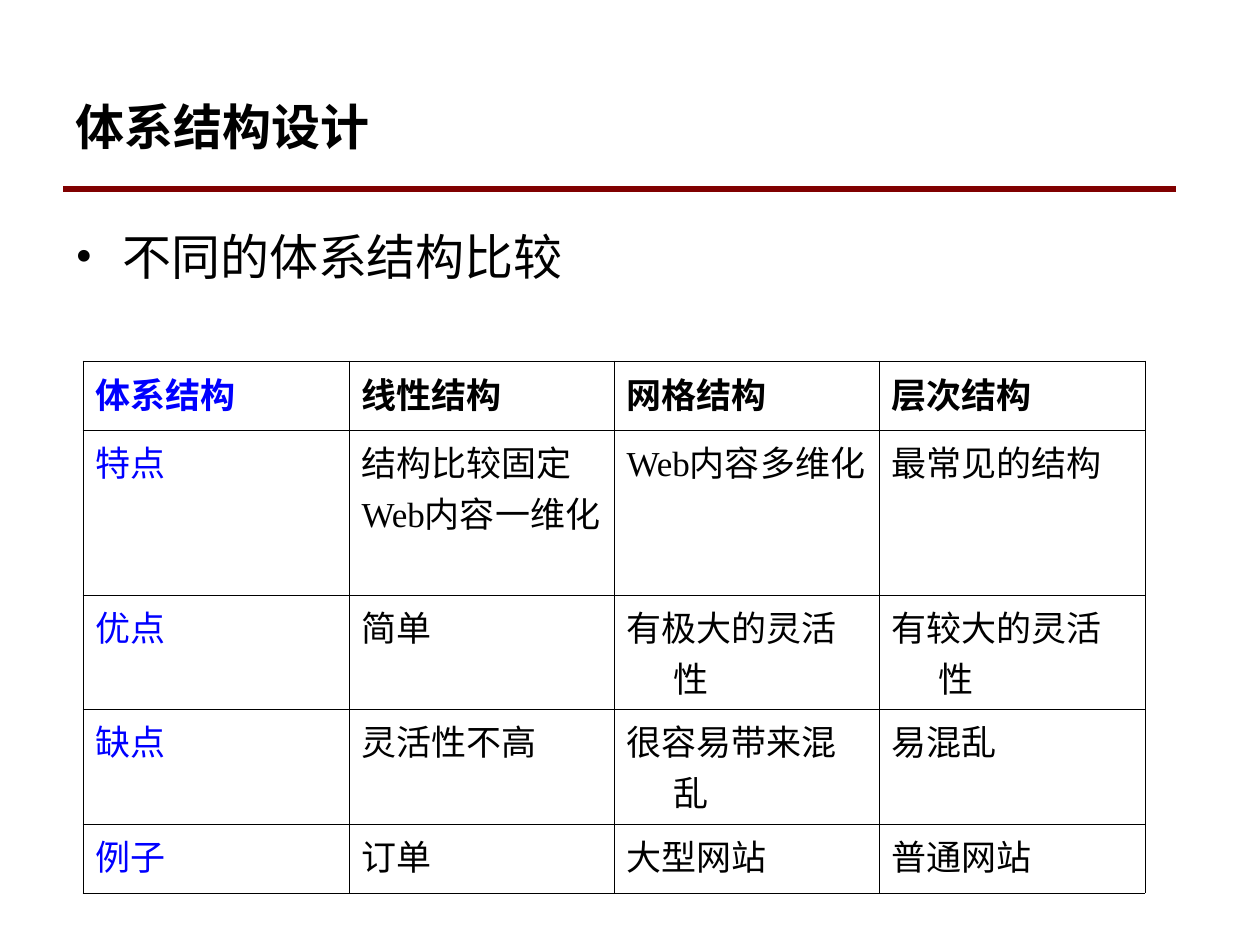
from lxml.etree import SubElement
from pptx import Presentation
from pptx.dml.color import RGBColor
from pptx.enum.shapes import MSO_CONNECTOR as Connector
from pptx.enum.text import MSO_ANCHOR as Anchor
from pptx.oxml.ns import qn
from pptx.util import Emu, Pt

SCALE = 914400 / 126  # EMU per px
INDENT = 47


def px(length):
    return Emu(round(length * SCALE))


def style(paragraph, font_name, size, color, bold=False, hanging=False):
    if hanging:
        properties = paragraph._p.get_or_add_pPr()
        properties.set("marL", str(px(INDENT)))
        properties.set("indent", str(-px(INDENT)))
    for run in paragraph.runs:
        run.font.name = font_name
        run.font.size = Pt(size)
        run.font.bold = bold
        run.font.color.rgb = RGBColor.from_string(color)


presentation = Presentation()
presentation.slide_width = px(1260)
presentation.slide_height = px(945)
slide = presentation.slides.add_slide(presentation.slide_layouts[6])

# Rule under the title
rule = slide.shapes.add_connector(Connector.STRAIGHT, px(63), px(189), px(1176), px(189))
rule.line.color.rgb = RGBColor.from_string("800000")
rule.line.width = Pt(3)
SubElement(rule._element.spPr, qn("a:effectLst"))

# Title
title = slide.shapes.add_textbox(px(63), px(63), px(1113), px(126))
title.text_frame.word_wrap = True
title.text_frame.vertical_anchor = Anchor.MIDDLE
title.text_frame.text = "体系结构设计"
style(title.text_frame.paragraphs[0], "Calibri", 28, "000000", bold=True)

# Bullet point
body = slide.shapes.add_textbox(px(63), px(220), px(562), px(609))
body.text_frame.word_wrap = True
body.text_frame.text = "不同的体系结构比较"
point = body.text_frame.paragraphs[0]
point_properties = point._p.get_or_add_pPr()
SubElement(point_properties, qn("a:buFont"), typeface="Times New Roman")
SubElement(point_properties, qn("a:buChar"), char="•")
style(point, "Calibri", 28, "000000", hanging=True)

# Comparison table
rows = [
    ["体系结构", "线性结构", "网格结构", "层次结构"],
    ["特点", "结构比较固定\nWeb内容一维化", "Web内容多维化", "最常见的结构"],
    ["优点", "简单", "有极大的灵活性", "有较大的灵活性"],
    ["缺点", "灵活性不高", "很容易带来混乱", "易混乱"],
    ["例子", "订单", "大型网站", "普通网站"],
]
row_heights = [69, 165, 114, 115, 69]
column_widths = [266, 265, 265, 266]
table = slide.shapes.add_table(
    len(rows), len(column_widths), px(83), px(361), px(sum(column_widths)), px(sum(row_heights))
).table
for column, width in zip(table.columns, column_widths):
    column.width = px(width)
for row, height in zip(table.rows, row_heights):
    row.height = px(height)

for row_index, texts in enumerate(rows):
    for column_index, text in enumerate(texts):
        cell = table.cell(row_index, column_index)
        cell.text_frame.text = text
        color = "0000FF" if column_index == 0 else "000000"
        for paragraph in cell.text_frame.paragraphs:
            style(paragraph, "Times New Roman", 20, color, bold=row_index == 0, hanging=True)

        # Thin black borders, no fill
        cell_properties = cell._tc.get_or_add_tcPr()
        for side in ("lnL", "lnR", "lnT", "lnB"):
            border = SubElement(cell_properties, qn(f"a:{side}"), w=str(Pt(0.45)))
            SubElement(SubElement(border, qn("a:solidFill")), qn("a:srgbClr"), val="000000")
        cell.fill.background()

presentation.save("out.pptx")
